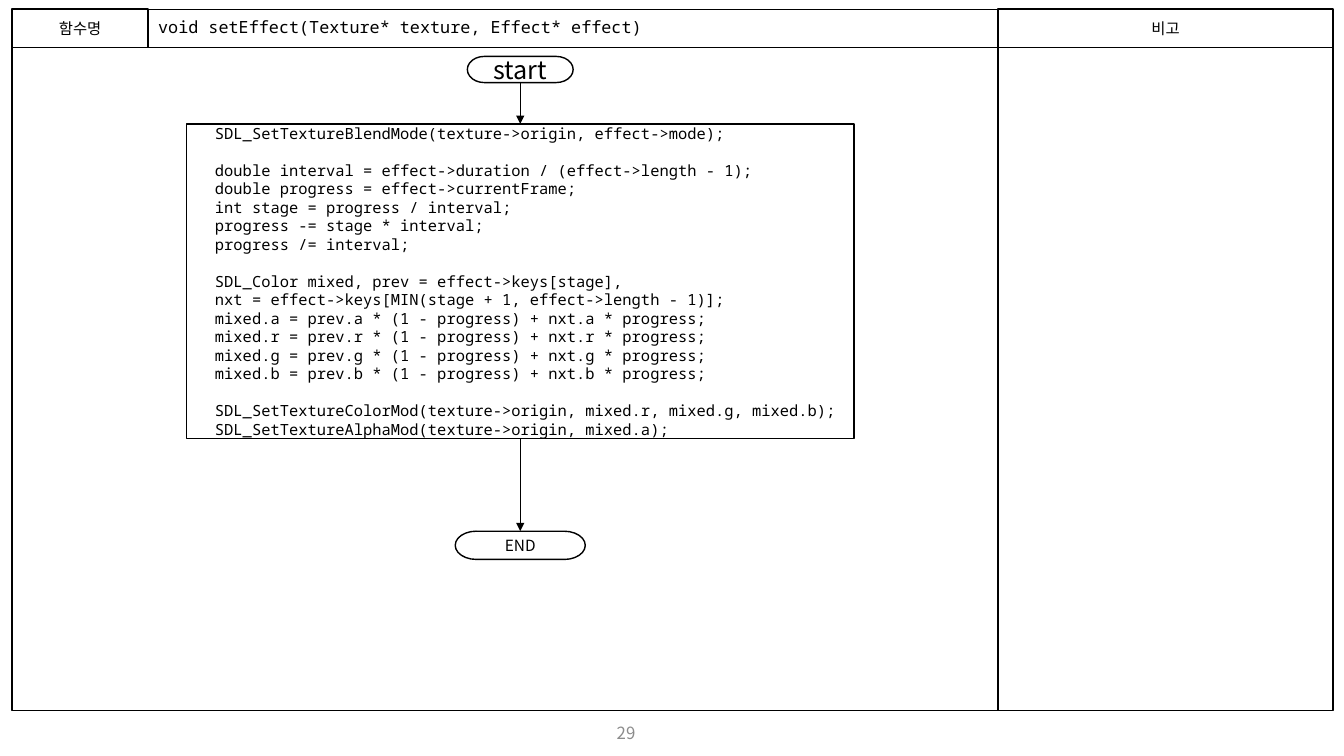
"""Build the flowchart slide for the setEffect function."""
from lxml import etree
from pptx import Presentation
from pptx.dml.color import RGBColor
from pptx.enum.shapes import MSO_CONNECTOR as CONN, MSO_SHAPE as SHAPE
from pptx.enum.text import MSO_ANCHOR as ANCHOR, PP_ALIGN as ALIGN
from pptx.oxml.ns import qn
from pptx.util import Inches, Pt

BLACK = RGBColor(0x00, 0x00, 0x00)
WHITE = RGBColor(0xFF, 0xFF, 0xFF)
GRAY = RGBColor(0x8C, 0x8C, 0x8C)
SANS, MONO = "Noto Sans CJK KR", "Noto Sans Mono"

LEFT, NAME, NOTE, RIGHT = 0.12, 1.47, 9.9, 13.22
TOP, BODY, BOTTOM = 0.09, 0.47, 7.05
AXIS = 5.16
CODE_PITCH = 13.2

CODE = """\
  SDL_SetTextureBlendMode(texture->origin, effect->mode);

  double interval = effect->duration / (effect->length - 1);
  double progress = effect->currentFrame;
  int stage = progress / interval;
  progress -= stage * interval;
  progress /= interval;

  SDL_Color mixed, prev = effect->keys[stage],
  nxt = effect->keys[MIN(stage + 1, effect->length - 1)];
  mixed.a = prev.a * (1 - progress) + nxt.a * progress;
  mixed.r = prev.r * (1 - progress) + nxt.r * progress;
  mixed.g = prev.g * (1 - progress) + nxt.g * progress;
  mixed.b = prev.b * (1 - progress) + nxt.b * progress;

  SDL_SetTextureColorMod(texture->origin, mixed.r, mixed.g, mixed.b);
  SDL_SetTextureAlphaMod(texture->origin, mixed.a);"""

prs = Presentation()
prs.slide_width, prs.slide_height = Inches(13.33), Inches(7.5)
s = prs.slides.add_slide(prs.slide_layouts[6])


def add_box(text, x, y, w, h, kind=SHAPE.RECTANGLE, size=11, font=SANS,
            color=BLACK, align=ALIGN.CENTER, fill=None, line=1, spacing=None):
    sp = s.shapes.add_shape(kind, Inches(x), Inches(y), Inches(w), Inches(h))
    sp.shadow.inherit = False
    if fill is None:
        sp.fill.background()
    else:
        sp.fill.solid()
        sp.fill.fore_color.rgb = fill
    if line:
        sp.line.color.rgb = BLACK
        sp.line.width = Pt(line)
    else:
        sp.line.fill.background()
    tf = sp.text_frame
    tf.word_wrap = True
    tf.vertical_anchor = ANCHOR.MIDDLE
    blocks = [block.split("\n") for block in text.split("\n\n")]
    p = None
    for b, block in enumerate(blocks):
        for i, row in enumerate(block):
            p = tf.add_paragraph() if p else tf.paragraphs[0]
            p.alignment = align
            if spacing:
                p.line_spacing = spacing
            if b and i == 0:
                p.space_before = Pt(CODE_PITCH)
            r = p.add_run()
            r.text = row
            r.font.size, r.font.name = Pt(size), font
            r.font.color.rgb = color
            ea = etree.SubElement(r.font._element, qn("a:ea"))
            ea.set("typeface", font)
    return sp


add_box("void setEffect(Texture* texture, Effect* effect)", NAME, TOP, NOTE - NAME, BODY - TOP,
        size=12, font=MONO, align=ALIGN.LEFT, line=0.75, spacing=0.9)
add_box("함수명", LEFT, TOP, NAME - LEFT, BODY - TOP)
add_box("비고", NOTE, TOP, RIGHT - NOTE, BODY - TOP)
for x, end in ((LEFT, NOTE), (NOTE, RIGHT)):
    add_box("", x, BODY, end - x, BOTTOM - BODY)
add_box("29", 4.71, 7.13, 3, 0.28, size=12, color=GRAY, line=None)

steps = [
    add_box(text, AXIS - w / 2, y, w, h, fill=WHITE, **style)
    for text, y, w, h, style in (
        ("start", 0.56, 1.05, 0.26, dict(kind=SHAPE.FLOWCHART_TERMINATOR, size=18)),
        (CODE, 1.23, 6.62, 3.12, dict(font=MONO, align=ALIGN.LEFT)),
        ("END", 5.27, 1.29, 0.28, dict(kind=SHAPE.FLOWCHART_TERMINATOR)),
    )
]

for above, below in zip(steps, steps[1:]):
    arrow = s.shapes.add_connector(CONN.STRAIGHT, 0, 0, 0, 0)
    arrow.begin_connect(above, 2)
    arrow.end_connect(below, 0)
    arrow.line.color.rgb = BLACK
    arrow.line.width = Pt(1)
    etree.SubElement(arrow.line._get_or_add_ln(), qn("a:tailEnd")).set("type", "triangle")
    etree.SubElement(arrow._element.spPr, qn("a:effectLst"))

prs.save("out.pptx")
